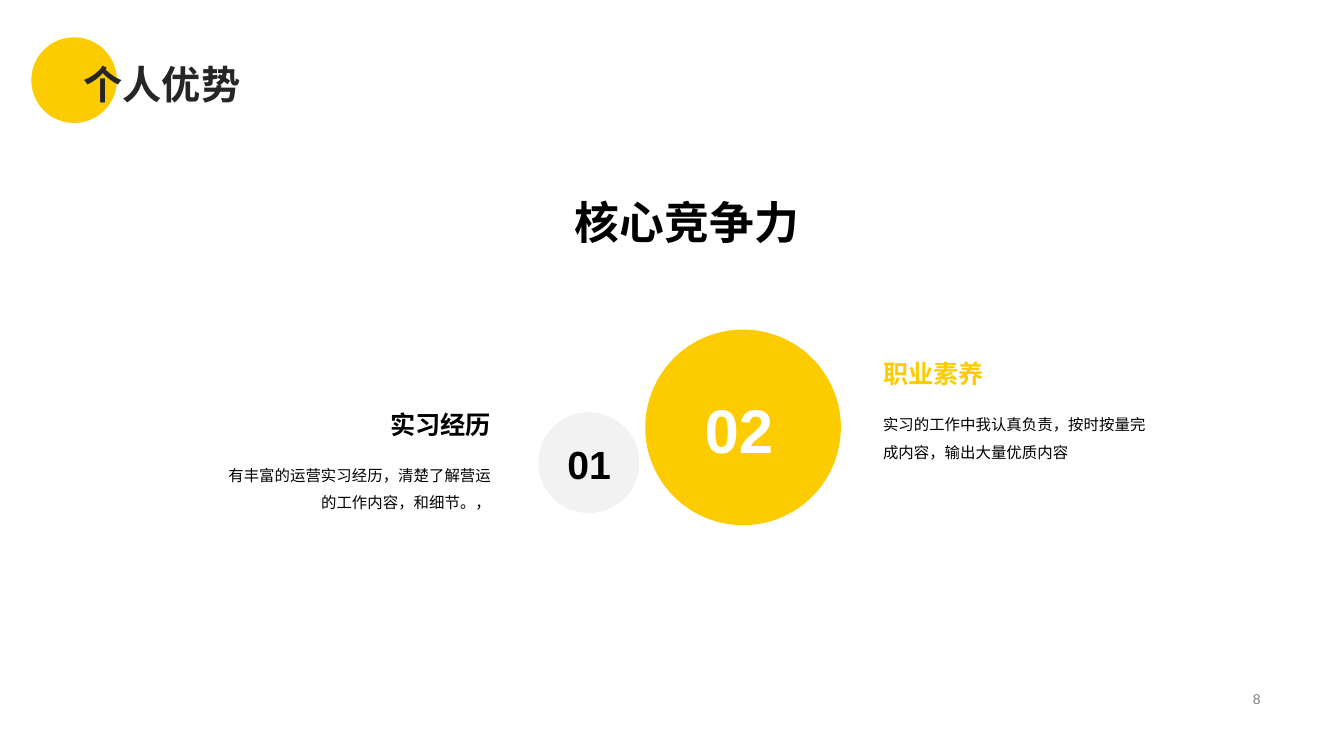
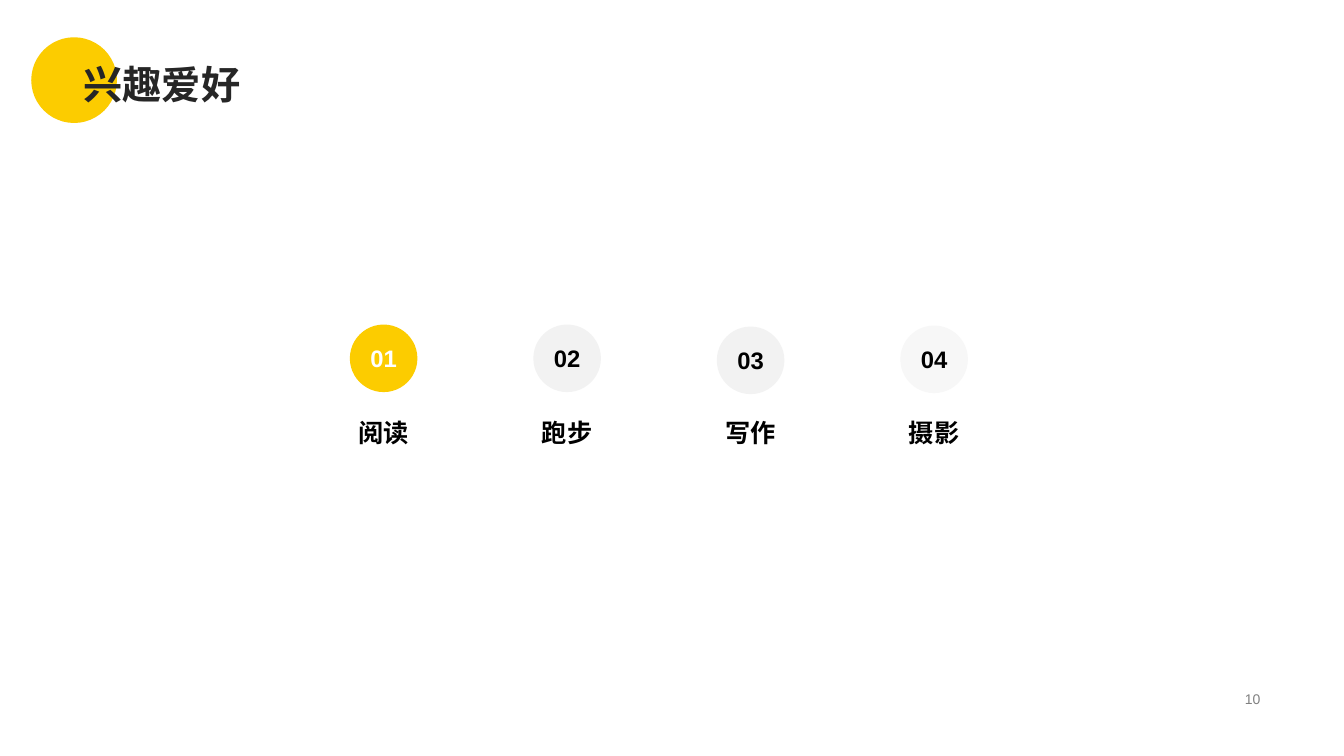
from pptx import Presentation
from pptx.dml.color import RGBColor
from pptx.enum.shapes import MSO_SHAPE
from pptx.enum.text import MSO_ANCHOR, PP_ALIGN
from pptx.util import Inches, Pt

FONT = "Arial"
YELLOW, GREY, PALE_GREY = "FCCC00", "F2F2F2", "F7F7F7"
BLACK, WHITE, TITLE_COLOR, NUMBER_COLOR = "000000", "FFFFFF", "262626", "808080"


def write_text(shape, text, size, color=BLACK, bold=True, align=PP_ALIGN.LEFT,
               anchor=MSO_ANCHOR.TOP, line_spacing=None):
    frame = shape.text_frame
    frame.word_wrap = True
    frame.vertical_anchor = anchor
    paragraph = frame.paragraphs[0]
    paragraph.alignment = align
    paragraph.line_spacing = line_spacing
    run = paragraph.add_run()
    run.text = text
    run.font.name = FONT
    run.font.size = Pt(size)
    run.font.bold = bold
    run.font.color.rgb = RGBColor.from_string(color)


def add_circle(shapes, left, top, diameter, color):
    circle = shapes.add_shape(MSO_SHAPE.OVAL, Inches(left), Inches(top),
                              Inches(diameter), Inches(diameter))
    circle.shadow.inherit = False
    circle.fill.solid()
    circle.fill.fore_color.rgb = RGBColor.from_string(color)
    circle.line.fill.background()
    frame = circle.text_frame
    frame.margin_left = frame.margin_right = 0
    return circle


presentation = Presentation()
presentation.slide_width = Inches(13.33)
presentation.slide_height = Inches(7.5)

# Shared layout: title position and the yellow circle behind it
layout = presentation.slide_layouts.get_by_name("Title Only")
layout_title = layout.placeholders[0]
layout_title.left, layout_title.top = Inches(0.73), Inches(0)
layout_title.width, layout_title.height = Inches(11.87), Inches(1.12)

slides = []
for title, number in (("个人优势", "8"), ("兴趣爱好", "10")):
    slide = presentation.slides.add_slide(layout)
    write_text(slide.shapes.title, title, 28, TITLE_COLOR,
               anchor=MSO_ANCHOR.BOTTOM, line_spacing=0.9)
    number_box = slide.shapes.add_textbox(Inches(9.42), Inches(6.82), Inches(3.18), Inches(0.23))
    write_text(number_box, number, 10, NUMBER_COLOR, bold=False,
               align=PP_ALIGN.RIGHT, anchor=MSO_ANCHOR.MIDDLE)
    slides.append(slide)
strengths_slide, hobbies_slide = slides

title_circle = add_circle(strengths_slide.shapes, 0.31, 0.37, 0.85, YELLOW)
layout_title._element.addprevious(title_circle._element)

# Strengths
heading = strengths_slide.shapes.add_textbox(Inches(2.37), Inches(1.87), Inches(8.89), Inches(0.64))
write_text(heading, "核心竞争力", 32, align=PP_ALIGN.CENTER, anchor=MSO_ANCHOR.BOTTOM)

group = strengths_slide.shapes.add_group_shape()
for left, top, diameter, color in ((6.4, 3.27, 1.94, YELLOW), (5.34, 4.09, 1, GREY)):
    add_circle(group.shapes, left, top, diameter, color)

strength_numbers = (
    ("01", 5.53, 4.32, 0.66, 0.57, 28, BLACK),
    ("02", 6.89, 3.84, 0.95, 0.84, 44, WHITE),
)
for number, left, top, width, height, size, color in strength_numbers:
    box = group.shapes.add_textbox(Inches(left), Inches(top), Inches(width), Inches(height))
    write_text(box, number, size, color)

strengths = (
    ("实习经历", "有丰富的运营实习经历，清楚了解营运的工作内容，和细节。，",
     2.14, 4.01, BLACK, PP_ALIGN.RIGHT),
    ("职业素养", "实习的工作中我认真负责，按时按量完成内容，输出大量优质内容",
     8.66, 3.51, YELLOW, PP_ALIGN.LEFT),
)
for name, description, left, top, color, align in strengths:
    name_box = group.shapes.add_textbox(Inches(left), Inches(top), Inches(2.83), Inches(0.4))
    write_text(name_box, name, 18, color, align=align)
    description_box = group.shapes.add_textbox(Inches(left), Inches(top + 0.47),
                                               Inches(2.83), Inches(0.7))
    write_text(description_box, description, 11, bold=False, align=align, line_spacing=1.5)

# Hobbies
hobbies = (
    ("阅读", 3.22, YELLOW, WHITE),
    ("跑步", 3.22, GREY, BLACK),
    ("写作", 3.24, GREY, BLACK),
    ("摄影", 3.23, PALE_GREY, BLACK),
)
label_width, diameter, pitch = 1.61, 0.67, 1.82
for index, (hobby, top, fill, color) in enumerate(hobbies):
    left = 3 + index * pitch
    circle = add_circle(hobbies_slide.shapes, left + (label_width - diameter) / 2, top,
                        diameter, fill)
    write_text(circle, f"{index + 1:02}", 17, color,
               align=PP_ALIGN.CENTER, anchor=MSO_ANCHOR.MIDDLE)
    label = hobbies_slide.shapes.add_textbox(Inches(left), Inches(4.09),
                                             Inches(label_width), Inches(0.4))
    write_text(label, hobby, 18, align=PP_ALIGN.CENTER)

presentation.save("out.pptx")
